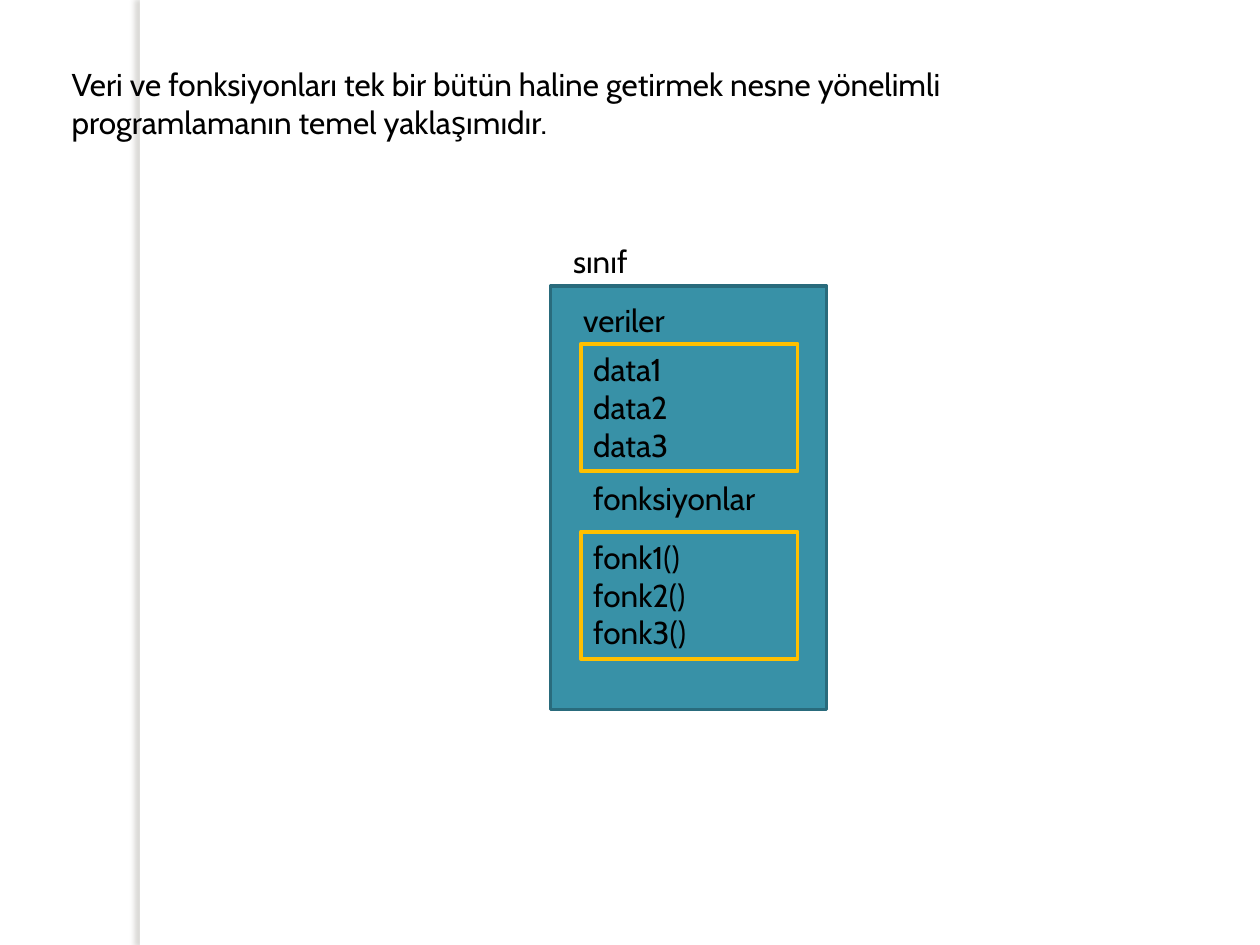
from lxml import etree
from pptx import Presentation
from pptx import util as u
from pptx.dml.color import RGBColor
from pptx.enum import shapes, text
from pptx.oxml.ns import qn

WIDTH, HEIGHT = u.Inches(10), u.Inches(7.5)
LABEL_W, LABEL_H = 16.4, 5.33
MEMBERS_X, MEMBERS_W, MEMBERS_H = 46.1, 17.2, 13.47


def rgb(value):
    return RGBColor.from_string(value)


def place(x, y, w, h):
    return (int(WIDTH * x / 100), int(HEIGHT * y / 100),
            int(WIDTH * w / 100), int(HEIGHT * h / 100))


def write(s, content):
    tf = s.text_frame
    tf.word_wrap = True
    tf.vertical_anchor = text.MSO_ANCHOR.TOP
    tf.text = content
    for p in tf.paragraphs:
        p.alignment = text.PP_ALIGN.LEFT
        for r in p.runs:
            r.font.name = "Cabin"
            r.font.size = u.Pt(18)
            r.font.color.rgb = rgb("000000")


def add_label(parent, x, y, w, h, content):
    write(parent.add_textbox(*place(x, y, w, h)), content)


def add_box(parent, x, y, w, h, fill=None, line=None, line_width=0):
    s = parent.add_shape(shapes.MSO_SHAPE.RECTANGLE, *place(x, y, w, h))
    s.shadow.inherit = False
    if fill:
        s.fill.solid()
        s.fill.fore_color.rgb = rgb(fill)
    else:
        s.fill.background()
    if line:
        s.line.color.rgb = rgb(line)
        s.line.width = u.Pt(line_width)
    else:
        s.line.fill.background()
    return s


def add_members(parent, y, names):
    s = add_box(parent, MEMBERS_X, y, MEMBERS_W, MEMBERS_H,
                line="FFC000", line_width=2.25)
    write(s, "\n".join(names))


def add_left_shadow(s):
    effects = s._element.spPr.find(qn("a:effectLst"))
    shadow = etree.SubElement(effects, qn("a:outerShdw"), blurRad=str(u.Pt(3)),
                              dist=str(u.Pt(3)), dir="10800000",
                              algn="r", rotWithShape="0")
    color = etree.SubElement(shadow, qn("a:srgbClr"), val="736F63")
    etree.SubElement(color, qn("a:alpha"), val="25000")


def add_class_diagram(slide):
    group = slide.shapes.add_group_shape().shapes
    add_box(group, 43.7, 30.27, 21.9, 44.8, "3891A7", "296B7C", 2)
    add_members(group, 36.4, [f"data{i}" for i in range(1, 4)])
    add_members(group, 56.27, [f"fonk{i}()" for i in range(1, 4)])
    for x, y, name in [(45.3, 31.2, "veriler"),
                       (46.1, 50, "fonksiyonlar"),
                       (44.5, 24.93, "sınıf")]:
        add_label(group, x, y, LABEL_W, LABEL_H, name)


def main():
    prs = Presentation()
    prs.slide_width, prs.slide_height = WIDTH, HEIGHT
    slide = prs.slides.add_slide(prs.slide_layouts[6])
    add_left_shadow(add_box(slide.shapes, 11.1, 0, 0.8, 100, "FFFFFF"))
    add_label(slide.shapes, 4.7, 6.27, 88.3, 13.47,
              "Veri ve fonksiyonları tek bir bütün haline getirmek nesne "
              "yönelimli programlamanın temel yaklaşımıdır.")
    add_class_diagram(slide)
    prs.save("out.pptx")


if __name__ == "__main__":
    main()
